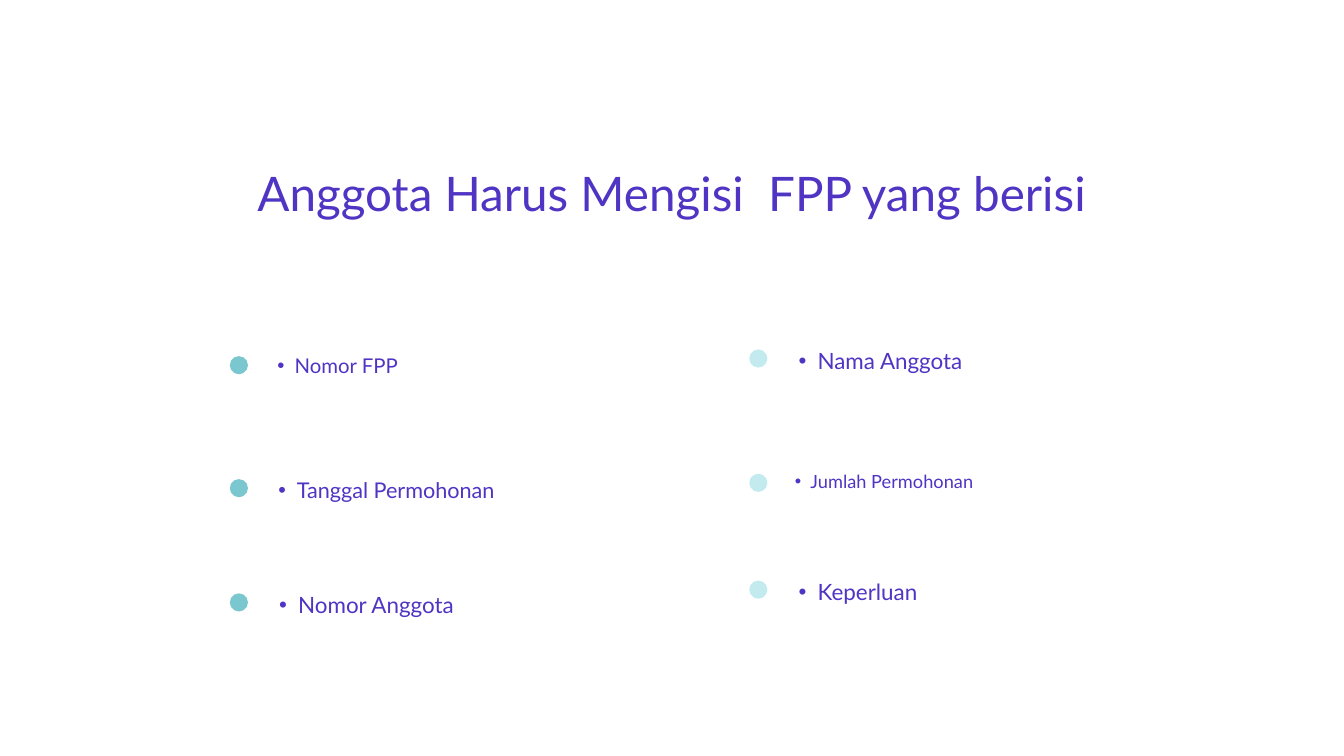
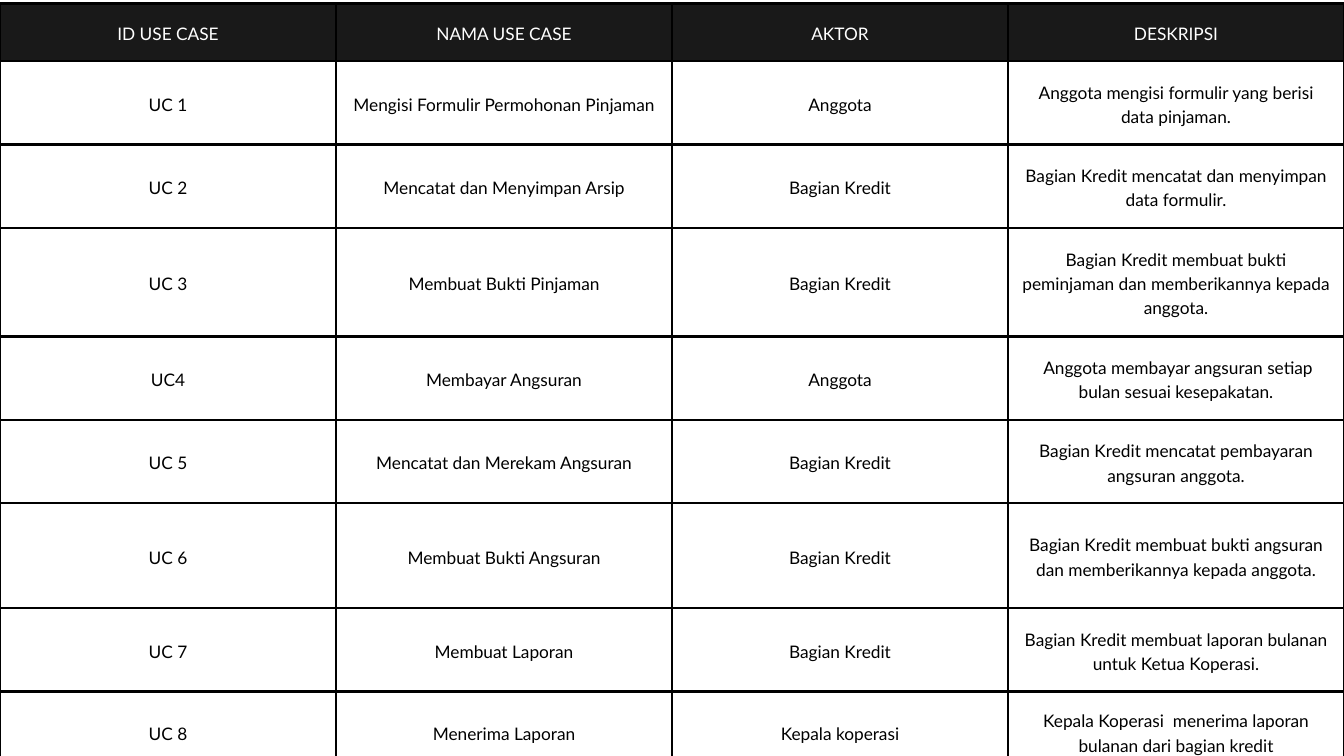
import lxml.etree
import pptx
import pptx.dml.color
import pptx.enum.shapes
import pptx.enum.text
import pptx.oxml.ns
import pptx.util

WIDTH, HEIGHT = 20, 11.25
FONT = "Lato"
PURPLE, TEAL, PALE_TEAL = "5034C4", "7AC7CF", "C3EBEF"
BLACK, WHITE, HEADER_FILL = "000000", "FFFFFF", "191919"
CENTER = pptx.enum.text.PP_ALIGN.CENTER
LEFT = pptx.enum.text.PP_ALIGN.LEFT
TOP = pptx.enum.text.MSO_ANCHOR.TOP
MIDDLE = pptx.enum.text.MSO_ANCHOR.MIDDLE

TITLE = "Anggota Harus Mengisi  FPP yang berisi"
TITLE_BOX = (1.12, 2.44, 17.75, 0.85)
COLUMN_TOP, COLUMN_WIDTH = 5.1, 7.72
DOT_SIZE, DOT_DROP, TEXT_INDENT = 0.27, 0.1, 0.45
FORM_COLUMNS = [
    (3.42, TEAL, [(0.1, "Nomor FPP", 21.8),
                  (1.93, "Tanggal Permohonan", 23.2),
                  (3.63, "Nomor Anggota", 24)]),
    (11.15, PALE_TEAL, [(0, "Nama Anggota", 24),
                        (1.85, "Jumlah Permohonan", 19.5),
                        (3.44, "Keperluan", 24)]),
]

TABLE_TOP, CELL_MARGIN, CELL_SIZE, BORDER_WIDTH = 0.05, 0.21, 18.5, 3
ROW_HEIGHTS = [0.86, 1.24, 1.24, 1.62, 1.24, 1.24, 1.56, 1.24, 1.2]
USE_CASES = [
    ("ID USE CASE", "NAMA USE CASE", "AKTOR", "DESKRIPSI"),
    ("UC 1", "Mengisi Formulir Permohonan Pinjaman", "Anggota",
     "Anggota mengisi formulir yang berisi data pinjaman."),
    ("UC 2", "Mencatat dan Menyimpan Arsip", "Bagian Kredit",
     "Bagian Kredit mencatat dan menyimpan data formulir."),
    ("UC 3", "Membuat Bukti Pinjaman", "Bagian Kredit",
     "Bagian Kredit membuat bukti peminjaman dan memberikannya kepada anggota."),
    ("UC4", "Membayar Angsuran", "Anggota",
     " Anggota membayar angsuran setiap bulan sesuai kesepakatan."),
    ("UC 5", "Mencatat dan Merekam Angsuran", "Bagian Kredit",
     "Bagian Kredit mencatat pembayaran angsuran anggota."),
    ("UC 6", "Membuat Bukti Angsuran", "Bagian Kredit",
     "Bagian Kredit membuat bukti angsuran dan memberikannya kepada anggota."),
    ("UC 7", "Membuat Laporan", "Bagian Kredit",
     "Bagian Kredit membuat laporan bulanan untuk Ketua Koperasi."),
    ("UC 8", "Menerima Laporan", "Kepala koperasi",
     "Kepala Koperasi  menerima laporan bulanan dari bagian kredit"),
]


def color(value):
    return pptx.dml.color.RGBColor.from_string(value)


def inches(*lengths):
    return [pptx.util.Inches(length) for length in lengths]


def apply_format(target, values):
    for name, value in values.items():
        setattr(target, name, value)


def write_text(text_frame, text, size, text_color, alignment, spacing):
    paragraph = text_frame.paragraphs[0]
    run = paragraph.add_run()
    run.text = text
    apply_format(paragraph, {"alignment": alignment,
                             "line_spacing": pptx.util.Pt(size * spacing)})
    apply_format(run.font, {"name": FONT, "size": pptx.util.Pt(size), "bold": False})
    run.font.color.rgb = color(text_color)
    return paragraph


def format_frame(text_frame):
    apply_format(text_frame, {
        "margin_left": 0, "margin_top": 0, "margin_right": 0, "margin_bottom": 0,
        "word_wrap": True, "vertical_anchor": TOP,
        "auto_size": pptx.enum.text.MSO_AUTO_SIZE.SHAPE_TO_FIT_TEXT})


def add_title(slide, box):
    title = slide.shapes.title
    apply_format(title, dict(zip(("left", "top", "width", "height"), inches(*box))))
    format_frame(title.text_frame)
    write_text(title.text_frame, TITLE, 51, PURPLE, CENTER, 1.2)


def add_bullet(paragraph, size):
    paragraph.level = 1
    properties = paragraph._p.get_or_add_pPr()
    properties.set("marL", str(pptx.util.Pt(size * 1.7)))
    properties.set("indent", str(-pptx.util.Pt(size * 0.85)))
    for tag, name, value in (("a:buFont", "typeface", "Arial"), ("a:buChar", "char", "•")):
        lxml.etree.SubElement(properties, pptx.oxml.ns.qn(tag)).set(name, value)


def add_form_field(slide, left, top, width, text, size, dot_color):
    dot = slide.shapes.add_shape(pptx.enum.shapes.MSO_SHAPE.OVAL,
                                 *inches(left, top + DOT_DROP, DOT_SIZE, DOT_SIZE))
    dot.shadow.inherit = False
    dot.fill.solid()
    dot.fill.fore_color.rgb = color(dot_color)
    dot.line.fill.background()
    label = slide.shapes.add_textbox(
        *inches(left + TEXT_INDENT, top, width - TEXT_INDENT, size * 0.018))
    format_frame(label.text_frame)
    add_bullet(write_text(label.text_frame, text, size, PURPLE, LEFT, 1.4), size)


def add_form_column(slide, left, top, width, dot_color, fields):
    for offset, text, size in fields:
        add_form_field(slide, left, top + offset, width, text, size, dot_color)


def build_form_slide(presentation):
    slide = presentation.slides.add_slide(presentation.slide_layouts[5])
    add_title(slide, TITLE_BOX)
    for left, dot_color, fields in FORM_COLUMNS:
        add_form_column(slide, left, COLUMN_TOP, COLUMN_WIDTH, dot_color, fields)


def add_borders(cell):
    properties = cell._tc.get_or_add_tcPr()
    for position, side in enumerate(("lnL", "lnR", "lnT", "lnB")):
        line = lxml.etree.Element(pptx.oxml.ns.qn("a:" + side))
        line.set("w", str(pptx.util.Pt(BORDER_WIDTH)))
        fill = lxml.etree.SubElement(line, pptx.oxml.ns.qn("a:solidFill"))
        lxml.etree.SubElement(fill, pptx.oxml.ns.qn("a:srgbClr")).set("val", BLACK)
        properties.insert(position, line)


def format_cell(cell, text, is_header):
    margin = pptx.util.Inches(CELL_MARGIN)
    apply_format(cell, {"margin_left": margin, "margin_top": margin,
                        "margin_right": margin, "margin_bottom": margin,
                        "vertical_anchor": MIDDLE})
    if is_header:
        cell.fill.solid()
        cell.fill.fore_color.rgb = color(HEADER_FILL)
    else:
        cell.fill.background()
    add_borders(cell)
    write_text(cell.text_frame, text, CELL_SIZE, WHITE if is_header else BLACK, CENTER, 1.4)


def add_use_case_table(slide, left, top, width):
    column_count = len(USE_CASES[0])
    table = slide.shapes.add_table(
        len(USE_CASES), column_count, *inches(left, top, width, sum(ROW_HEIGHTS))).table
    apply_format(table, {"first_row": False, "horz_banding": False})
    for column in table.columns:
        column.width = pptx.util.Inches(width / column_count)
    for row_index, (row, height, texts) in enumerate(zip(table.rows, ROW_HEIGHTS, USE_CASES)):
        row.height = pptx.util.Inches(height)
        for cell, text in zip(row.cells, texts):
            format_cell(cell, text, row_index == 0)


def build_use_case_slide(presentation):
    slide = presentation.slides.add_slide(presentation.slide_layouts[6])
    add_use_case_table(slide, 0, TABLE_TOP, WIDTH)


def main():
    presentation = pptx.Presentation()
    presentation.slide_width, presentation.slide_height = inches(WIDTH, HEIGHT)
    build_form_slide(presentation)
    build_use_case_slide(presentation)
    presentation.save("out.pptx")


if __name__ == "__main__":
    main()
